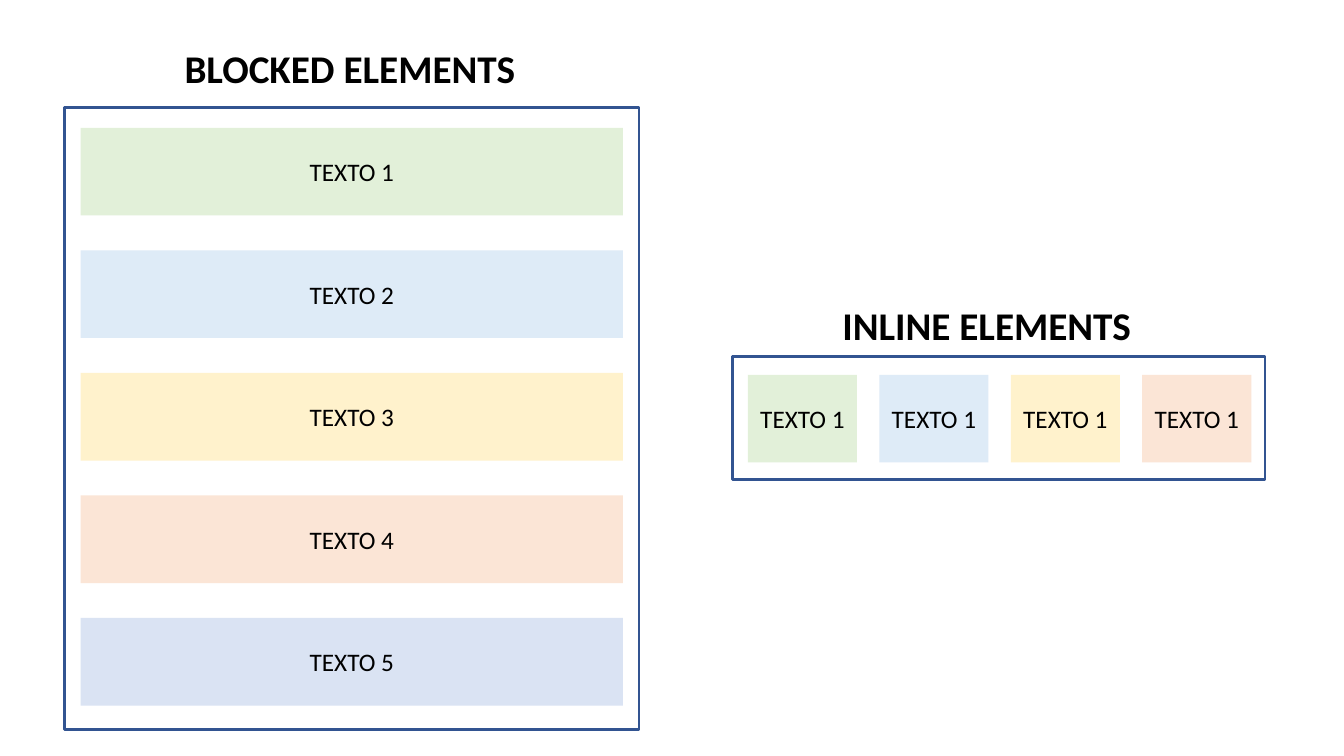
from pptx import Presentation
from pptx.dml.color import RGBColor
from pptx.enum import shapes, text
from pptx.util import Pt

COLORS = {
    "green": "E2F0D9",
    "blue": "DEEBF7",
    "yellow": "FFF2CC",
    "orange": "FBE5D6",
    "lavender": "DAE3F3",
    "frame": "325491",
    "text": "000000",
}
BLOCK_FILLS = ["green", "blue", "yellow", "orange", "lavender"]
INLINE_FILLS = BLOCK_FILLS[:4]
ITEM_HEIGHT = 62.6
TITLE_ONLY = 5


def color(name):
    return RGBColor.from_string(COLORS[name])


def write(shape, content, size, alignment, bold=False):
    shape.text_frame.text = content
    paragraph = shape.text_frame.paragraphs[0]
    paragraph.alignment = alignment
    font = paragraph.runs[0].font
    font.name = "Calibri"
    font.size = Pt(size)
    font.bold = bold
    font.color.rgb = color("text")


def add_rectangle(slide, left, top, width, height):
    shape = slide.shapes.add_shape(
        shapes.MSO_SHAPE.RECTANGLE, Pt(left), Pt(top), Pt(width), Pt(height))
    shape.shadow.inherit = False
    return shape


def add_frame(slide, left, top, width, height):
    frame = add_rectangle(slide, left, top, width, height)
    frame.fill.background()
    frame.line.color.rgb = color("frame")
    frame.line.width = Pt(2)


def add_item(slide, left, top, width, fill, label):
    item = add_rectangle(slide, left, top, width, ITEM_HEIGHT)
    item.fill.solid()
    item.fill.fore_color.rgb = color(fill)
    item.line.fill.background()
    item.text_frame.vertical_anchor = text.MSO_ANCHOR.MIDDLE
    write(item, label, 18, text.PP_ALIGN.CENTER)


def format_heading(shape, content, left, top, width):
    shape.left, shape.top = Pt(left), Pt(top)
    shape.width, shape.height = Pt(width), Pt(41.2)
    write(shape, content, 28, text.PP_ALIGN.LEFT, bold=True)
    frame = shape.text_frame
    frame.word_wrap = False
    frame.auto_size = text.MSO_AUTO_SIZE.SHAPE_TO_FIT_TEXT
    frame.vertical_anchor = text.MSO_ANCHOR.TOP


def main():
    presentation = Presentation()
    presentation.slide_width = Pt(960)
    presentation.slide_height = Pt(540)
    slide = presentation.slides.add_slide(
        presentation.slide_layouts[TITLE_ONLY])

    # Blocked elements: one full-width item per row
    format_heading(slide.shapes.title, "BLOCKED ELEMENTS", 124.6, 28.1, 253.4)
    add_frame(slide, 46.1, 77, 410.4, 444.2)
    for row, fill in enumerate(BLOCK_FILLS):
        add_item(slide, 57.6, 91.4 + row * 87.5, 387.4, fill,
                 f"TEXTO {row + 1}")

    # Inline elements: items side by side in one row
    inline_heading = slide.shapes.add_textbox(0, 0, 0, 0)
    format_heading(inline_heading, "INLINE ELEMENTS", 594.7, 211.7, 223.2)
    add_frame(slide, 523.4, 254.9, 380.2, 87.8)
    for column, fill in enumerate(INLINE_FILLS):
        add_item(slide, 534.2 + column * 93.9, 267.8, 78, fill, "TEXTO 1")

    presentation.save("out.pptx")


if __name__ == "__main__":
    main()
